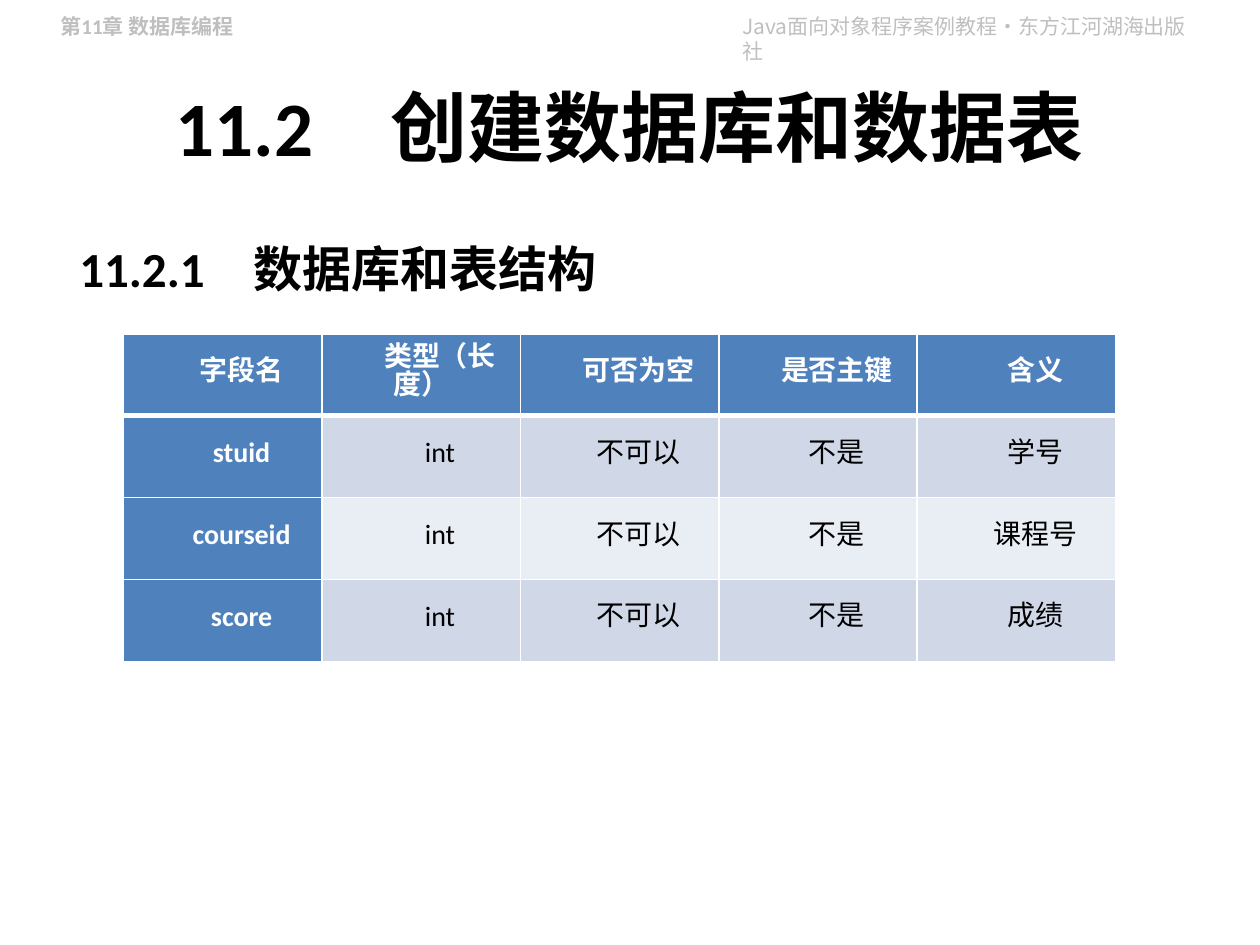
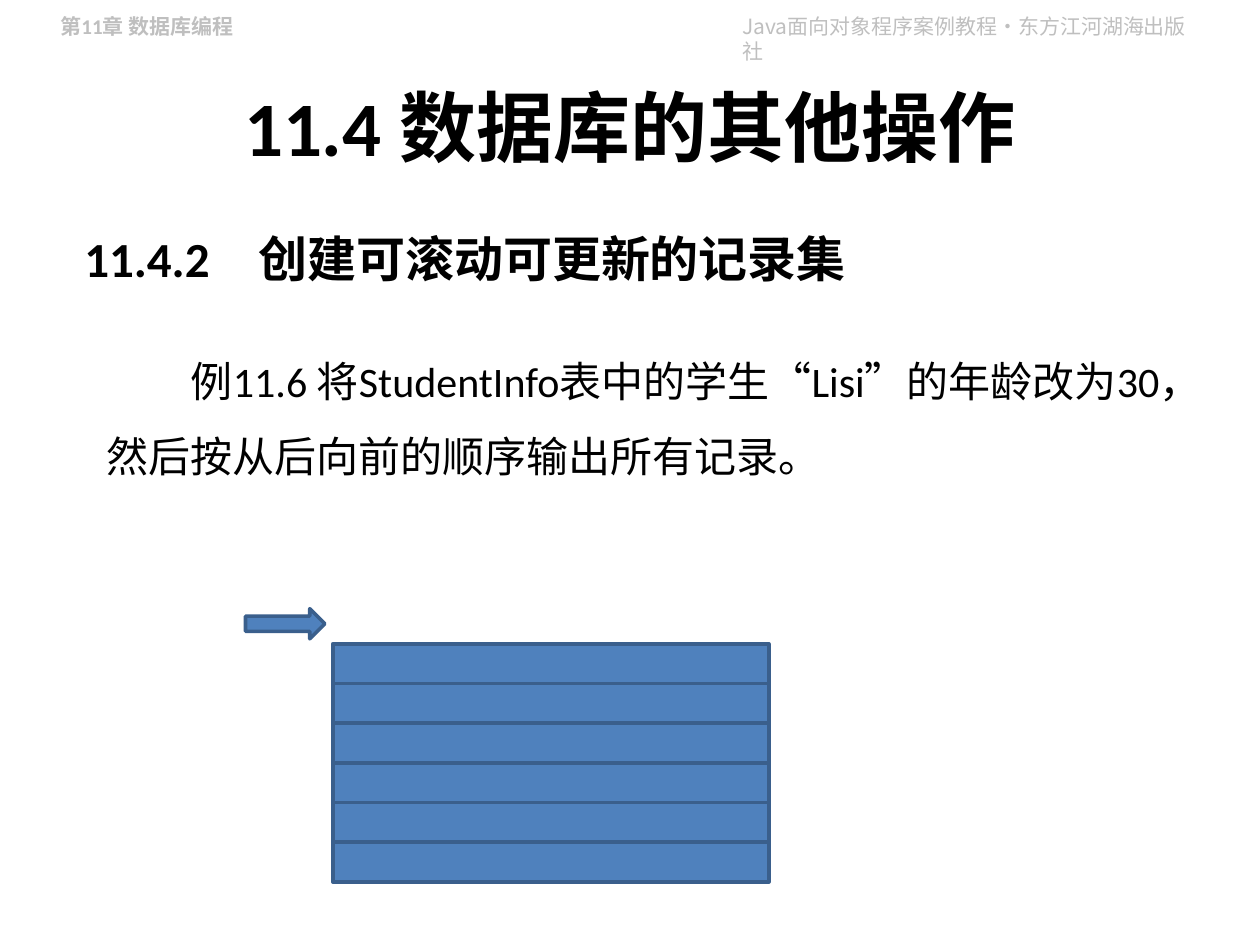
from pptx import Presentation
from pptx.dml.color import RGBColor as Rgb
from pptx.enum.shapes import MSO_SHAPE as Shape
from pptx.enum.text import MSO_ANCHOR as Anchor, PP_ALIGN as Align
from pptx.oxml.ns import qn
from pptx.util import Cm, Pt
from lxml.etree import SubElement as Sub

HUES = {"ink": "000000", "pale": "BFBFBF", "white": "FFFFFF", "blue": "4F81BD",
        "edge": "3A5F8C", "odd": "D0D8E8", "even": "E9EDF4"}
LATIN, HAN = "Calibri", "Noto Sans CJK SC"
ROWS = [("字段名", "类型（长度）", "可否为空", "是否主键", "含义"),
        ("stuid", "int", "不可以", "不是", "学号"),
        ("courseid", "int", "不可以", "不是", "课程号"),
        ("score", "int", "不可以", "不是", "成绩")]


def hue(name):
    """Return a palette colour."""
    return Rgb.from_string(HUES[name])


def style(para, size, color="ink", bold=False, face=LATIN):
    """Format every run of a paragraph."""
    for run in para.runs:
        font = run.font
        font.size, font.bold, font.name = Pt(size), bold, face
        font.color.rgb = hue(color)
        Sub(run._r.get_or_add_rPr(), qn("a:ea"), typeface=HAN)


def indent(para, width):
    """Indent the first line of a paragraph."""
    props = para._p.get_or_add_pPr()
    props.set("marL", "0")
    props.set("indent", str(Cm(width)))


def label(slide, box, text, size, anchor=Anchor.TOP, **look):
    """Add a wrapped text box and return its frame."""
    frame = slide.shapes.add_textbox(*map(Cm, box)).text_frame
    frame.word_wrap = True
    frame.vertical_anchor = anchor
    frame.text = text
    style(frame.paragraphs[0], size, **look)
    return frame


def page(deck, title):
    """Start a slide with the running heads and its title."""
    slide = deck.slides.add_slide(deck.slide_layouts[6])
    label(slide, (14.71, 0.15, 9.6, 0.76), "Java面向对象程序案例教程•东方江河湖海出版社",
          12, color="pale", face=HAN)
    label(slide, (0.97, 0.15, 8.74, 0.76), "第11章 数据库编程", 12,
          color="pale", bold=True)
    frame = label(slide, (1.27, 0.94, 22.86, 3.18), title, 44, Anchor.MIDDLE, bold=True)
    frame.paragraphs[0].alignment = Align.CENTER
    return slide


def section(slide, left, top, text):
    """Add a section heading."""
    frame = label(slide, (left, top, 22.71, 1.4), text, 28, Anchor.BOTTOM, bold=True)
    frame.margin_left, frame.margin_top = Cm(0.3), Cm(0.1)


def border(cell, row):
    """Draw white cell borders, thick under the header row."""
    props = cell._tc.get_or_add_tcPr()
    thick = {(0, "B"), (1, "T")}
    for side in "LRTB":
        width = Pt(3 if (row, side) in thick else 1)
        line = Sub(props, qn(f"a:ln{side}"), w=str(width))
        fill = Sub(line, qn("a:solidFill"))
        Sub(fill, qn("a:srgbClr"), val=HUES["white"])


def grid(slide, box, rows):
    """Add the field table with a marked first row and column."""
    table = slide.shapes.add_table(len(rows), len(rows[0]), *map(Cm, box)).table
    for r, row in enumerate(rows):
        table.rows[r].height = Cm(box[3] / len(rows))
        for c, text in enumerate(row):
            cell, head = table.cell(r, c), r == 0 or c == 0
            border(cell, r)
            cell.fill.solid()
            cell.fill.fore_color.rgb = hue("blue" if head else "odd" if r % 2 else "even")
            cell.margin_left = cell.margin_right = Cm(0.18)
            cell.margin_top = cell.margin_bottom = 0
            cell.vertical_anchor = Anchor.MIDDLE
            cell.text = text
            para = cell.text_frame.paragraphs[0]
            para.alignment, para.line_spacing = Align.CENTER, Pt(15.6)
            indent(para, 0.76)
            style(para, 16, "white" if head else "ink", head)


def block(slide, kind, box):
    """Add a blue outlined shape."""
    shape = slide.shapes.add_shape(kind, *map(Cm, box))
    shape.shadow.inherit = False
    shape.fill.solid()
    shape.fill.fore_color.rgb = hue("blue")
    shape.line.color.rgb = hue("edge")
    shape.line.width = Pt(2)


def stack(slide, box, count):
    """Add record bars with a cursor arrow before the first."""
    left, top, width, height = box
    step = height / count
    block(slide, Shape.RIGHT_ARROW, (left - 1.76, top - 0.71, 1.6, 0.61))
    for i in range(count):
        block(slide, Shape.RECTANGLE, (left, top + i * step, width, step))


def fields(deck):
    """Build the table structure slide."""
    slide = page(deck, "11.2　创建数据库和数据表")
    section(slide, 1.3, 4.72, "11.2.1　数据库和表结构")
    grid(slide, (2.49, 6.73, 20, 6.6), ROWS)


def records(deck):
    """Build the record set slide."""
    slide = page(deck, "11.4 数据库的其他操作")
    section(slide, 1.4, 4.52, "11.4.2　创建可滚动可更新的记录集")
    frame = label(slide, (1.9, 6.53, 22.61, 3.33),
                  "例11.6 将StudentInfo表中的学生“Lisi”的年龄改为30，然后按从后向前的顺序输出所有记录。", 24)
    para = frame.paragraphs[0]
    para.line_spacing, para.space_before, para.space_after = 1.5, Pt(12), Pt(6)
    indent(para, 1.7)
    stack(slide, (6.71, 12.98, 8.79, 4.8), 6)


def main():
    """Build and save the deck."""
    deck = Presentation()
    deck.slide_width, deck.slide_height = Cm(25.4), Cm(19.05)
    fields(deck)
    records(deck)
    deck.save("out.pptx")


if __name__ == "__main__":
    main()
